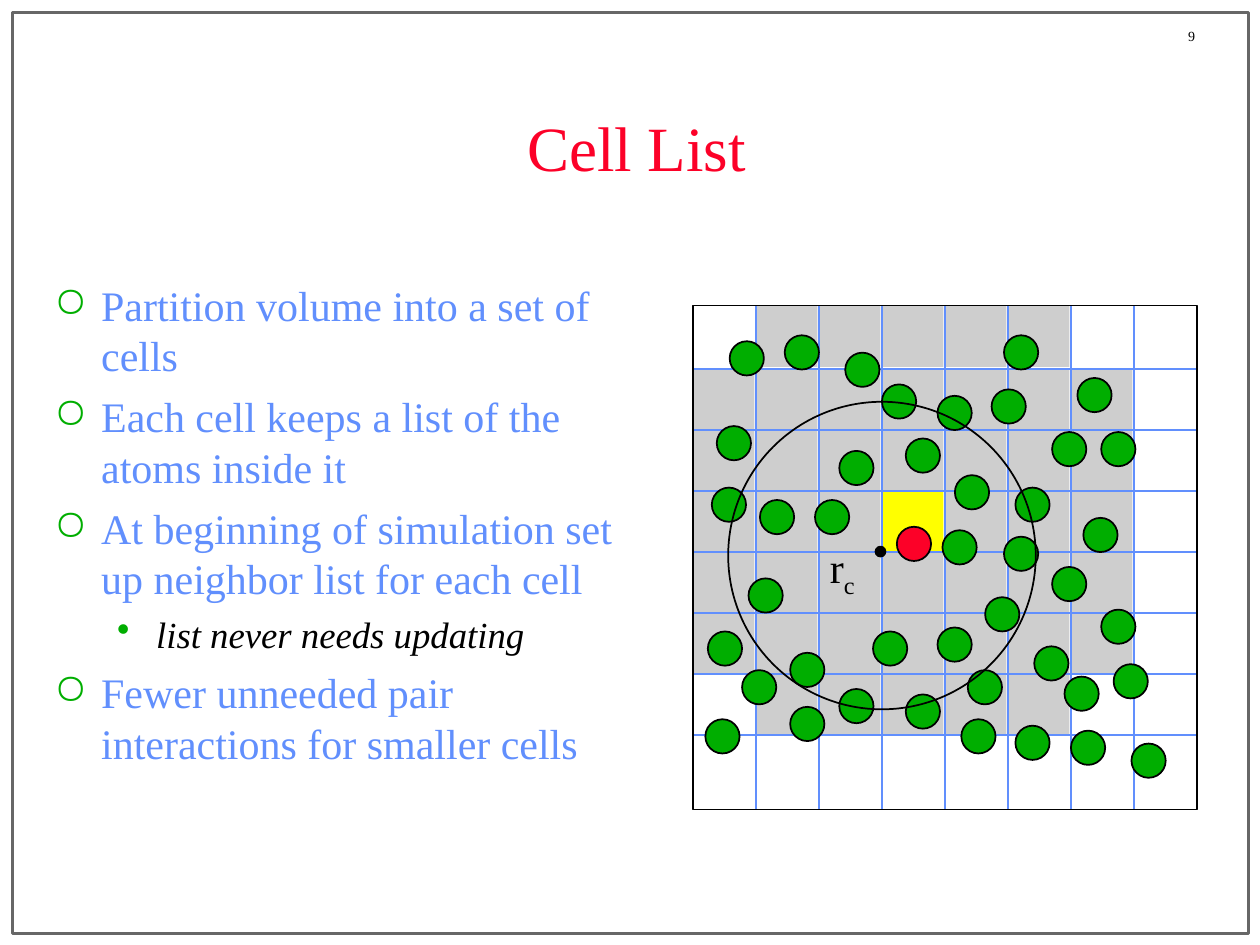
import lxml.etree
import pptx
import pptx.dml.color
import pptx.enum.shapes
import pptx.enum.text
import pptx.oxml.ns
import pptx.util

Cm = pptx.util.Cm
Pt = pptx.util.Pt
qn = pptx.oxml.ns.qn
SHAPE = pptx.enum.shapes.MSO_SHAPE
ALIGN = pptx.enum.text.PP_ALIGN
ANCHOR = pptx.enum.text.MSO_ANCHOR

FONT = "Times New Roman"
COLORS = {
    "black": "000000",
    "border": "676767",
    "red": "FC0128",
    "blue": "618FFD",
    "green": "00AE00",
    "gray": "CECECE",
    "yellow": "FFFF00",
}

# Cell grid, in cm: the first row is a little taller than the others
LEFT, TOP, SIDE = 13.97, 6.16, 10.16
COL_STEP, ROW_STEP, FIRST_LINE = 1.27, 1.23, 7.44
N_LINES = 7
CELL = 1.24
HOME_CELL = (3, 3)

# Top left corners of the atoms, in cm
ATOM = 0.69
ATOMS = [
    (14.71, 6.88), (15.82, 6.76), (14.45, 8.59), (17.04, 7.11), (16.43, 10.08),
    (18.9, 7.98), (17.6, 12.73), (19.86, 12.04), (21.21, 8.71), (21.84, 10.44),
    (22.2, 12.29), (19.51, 13.51), (21.59, 14.73), (18.26, 14), (19, 10.69),
    (15.32, 10.08), (16.92, 13.89), (20.85, 13.03), (21.21, 11.43), (22.2, 8.71),
    (20.47, 9.83), (21.72, 7.62), (20.24, 10.82), (18.9, 12.65), (15.93, 13.16),
    (15.93, 14.25), (19.38, 14.5), (15.09, 11.66), (19.25, 9.58), (20.24, 6.76),
    (14.22, 14.5), (14.35, 9.83), (16.92, 9.09), (17.78, 7.75), (18.26, 8.84),
    (21.46, 13.64), (19.99, 7.85), (20.47, 14.63), (22.81, 14.99), (14.96, 13.51),
    (22.45, 13.39), (14.27, 12.73),
]

BULLETS = [
    ("Partition volume into a set of cells", 0),
    ("Each cell keeps a list of the atoms inside it", 0),
    ("At beginning of simulation set up neighbor list for each cell", 0),
    ("list never needs updating", 1),
    ("Fewer unneeded pair interactions for smaller cells", 0),
]
# Format of each bullet level
LEVELS = [
    dict(char="○", margin=0.95, hang=0.95, before=6, size=24, color="blue", italic=False),
    dict(char="•", margin=2.06, hang=0.79, before=5.2, size=21, color="black", italic=True),
]


def rgb(name):
    return pptx.dml.color.RGBColor.from_string(COLORS[name])


def add_run(p, text, size=24, color="black", italic=False, baseline=None):
    r = p.add_run()
    r.text = text
    r.font.name = FONT
    r.font.size = Pt(size)
    r.font.italic = italic
    r.font.color.rgb = rgb(color)
    if baseline is not None:
        r.font._element.set("baseline", str(baseline))
    return r


def add_box(shapes, x, y, w, h, wrap=True, anchor=ANCHOR.TOP):
    tf = shapes.add_textbox(Cm(x), Cm(y), Cm(w), Cm(h)).text_frame
    tf.word_wrap = wrap
    tf.vertical_anchor = anchor
    return tf


def add_figure(shapes, kind, x, y, w, h, fill=None, line=None, width=1):
    sp = shapes.add_shape(kind, Cm(x), Cm(y), Cm(w), Cm(h))
    sp.shadow.inherit = False
    if fill:
        sp.fill.solid()
        sp.fill.fore_color.rgb = rgb(fill)
    else:
        sp.fill.background()
    if line:
        sp.line.color.rgb = rgb(line)
        sp.line.width = Pt(width)
    else:
        sp.line.fill.background()
    return sp


def add_line(shapes, x1, y1, x2, y2):
    line = shapes.add_connector(
        pptx.enum.shapes.MSO_CONNECTOR.STRAIGHT, Cm(x1), Cm(y1), Cm(x2), Cm(y2))
    line.line.color.rgb = rgb("blue")
    line.line.width = Pt(1)
    lxml.etree.SubElement(line._element.spPr, qn("a:effectLst"))


def set_bullet(p, level, char, margin, hang):
    pPr = p._p.get_or_add_pPr()
    pPr.set("lvl", str(level))
    pPr.set("marL", str(Cm(margin)))
    pPr.set("indent", str(-Cm(hang)))
    clr = lxml.etree.SubElement(pPr, qn("a:buClr"))
    lxml.etree.SubElement(clr, qn("a:srgbClr"), val=COLORS["green"])
    lxml.etree.SubElement(pPr, qn("a:buChar"), char=char)


def add_bullets(shapes):
    tf = add_box(shapes, 0.84, 5.51, 12.07, 11.43)
    for i, (text, level) in enumerate(BULLETS):
        fmt = LEVELS[level]
        p = tf.add_paragraph() if i else tf.paragraphs[0]
        set_bullet(p, level, fmt["char"], fmt["margin"], fmt["hang"])
        if i:
            p.space_before = Pt(fmt["before"])
        p.line_spacing = Pt(1.2 * fmt["size"])
        add_run(p, text, size=fmt["size"], color=fmt["color"], italic=fmt["italic"])


def line_y(i):
    return FIRST_LINE + i * ROW_STEP


def add_cells(shapes):
    for row in range(N_LINES):
        y = line_y(row - 1) if row else TOP
        cols = range(1, 6) if row in (0, N_LINES - 1) else range(7)
        for col in cols:
            fill = "yellow" if (row, col) == HOME_CELL else "gray"
            add_figure(shapes, SHAPE.RECTANGLE, LEFT + col * COL_STEP, y, CELL, CELL, fill)


def add_grid(shapes):
    grid = shapes.add_group_shape().shapes
    for i in range(N_LINES):
        x = LEFT + (i + 1) * COL_STEP
        add_line(grid, x, TOP, x, TOP + SIDE)
    for i in range(N_LINES):
        add_line(grid, LEFT, line_y(i), LEFT + SIDE, line_y(i))
    add_figure(shapes, SHAPE.RECTANGLE, LEFT, TOP, SIDE, SIDE, line="black")


def add_atom(shapes, x, y, fill):
    add_figure(shapes, SHAPE.OVAL, x, y, ATOM, ATOM, fill, "black")


def add_cutoff(shapes):
    tf = add_box(shapes, 16.48, 10.8, 1.85, 1.42)
    add_run(tf.paragraphs[0], "r")
    add_run(tf.paragraphs[0], "c", baseline=-25000)
    add_atom(shapes, 18.08, 10.62, "red")
    cutoff = shapes.add_group_shape().shapes
    add_figure(cutoff, SHAPE.OVAL, 14.68, 8.1, 6.2, 6.2, line="black")
    add_figure(cutoff, SHAPE.OVAL, 17.65, 11.02, 0.2, 0.2, "black", "black")


def main():
    prs = pptx.Presentation()
    prs.slide_width, prs.slide_height = Cm(25.4), Cm(19.05)
    shapes = prs.slides.add_slide(prs.slide_layouts[6]).shapes

    # Border and page number
    add_figure(shapes, SHAPE.RECTANGLE, 0.25, 0.25, 24.92, 18.57, line="border", width=2)
    tf = add_box(shapes, 23.7, 0.43, 1.7, 0.58, wrap=False)
    add_run(tf.paragraphs[0], "9", size=8)

    # Title and bullets
    tf = add_box(shapes, 1.9, 1.7, 21.87, 2.51, anchor=ANCHOR.MIDDLE)
    tf.paragraphs[0].alignment = ALIGN.CENTER
    add_run(tf.paragraphs[0], "Cell List", size=36, color="red")
    add_bullets(shapes)

    # Cell diagram
    add_cells(shapes)
    add_grid(shapes)
    for x, y in ATOMS:
        add_atom(shapes, x, y, "green")
    add_cutoff(shapes)

    prs.save("out.pptx")


if __name__ == "__main__":
    main()
